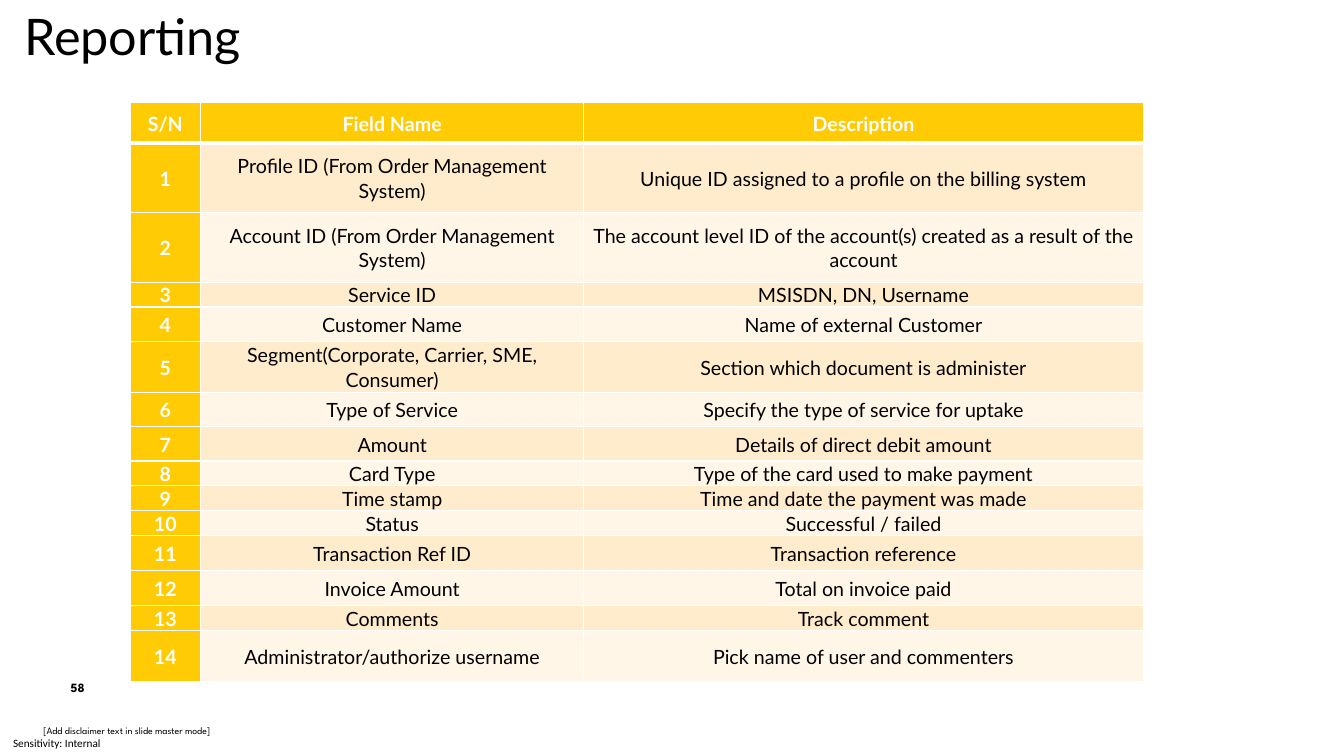
from lxml import etree
from pptx import Presentation, util as u
from pptx.dml.color import RGBColor
from pptx.enum import shapes, text
from pptx.oxml import ns

BLACK, WHITE, YELLOW = "000000", "FFFFFF", "FFCB05"
BANDS = ["FFECCC", "FFF6E7"]


def write(frame, words, size=14, font="Lato", color=BLACK, bold=False,
          align=text.PP_ALIGN.LEFT, spacing=None, wrap=True, margins=(0, 0, 0, 0)):
    """Fill a text frame with one formatted paragraph."""
    frame.word_wrap = wrap
    frame.vertical_anchor = text.MSO_ANCHOR.MIDDLE
    (frame.margin_left, frame.margin_top,
     frame.margin_right, frame.margin_bottom) = map(u.Inches, margins)
    paragraph = frame.paragraphs[0]
    paragraph.alignment = align
    paragraph.line_spacing = spacing
    run = paragraph.add_run()
    run.text = words
    run.font.size, run.font.name, run.font.bold = u.Pt(size), font, bold
    run.font.color.rgb = RGBColor.from_string(color)


def outline(cell, bottom):
    """Draw white borders of 1 pt, with the given width at the bottom."""
    properties = cell._tc.get_or_add_tcPr()
    for side, width in zip("LRTB", (1, 1, 1, bottom)):
        line = etree.SubElement(properties, ns.qn("a:ln" + side), w=str(u.Pt(width)))
        fill = etree.SubElement(line, ns.qn("a:solidFill"))
        etree.SubElement(fill, ns.qn("a:srgbClr"), val=WHITE)


presentation = Presentation()
presentation.slide_width, presentation.slide_height = u.Inches(13.33), u.Inches(7.5)
slide = presentation.slides.add_slide(presentation.slide_layouts[6])

# Page number
badge = slide.shapes.add_shape(shapes.MSO_SHAPE.OVAL,
                               *map(u.Inches, (0.43, 6.69, 0.68, 0.27)))
badge.shadow.inherit = False
badge.fill.solid()
badge.fill.fore_color.rgb = RGBColor.from_string(WHITE)
badge.line.fill.background()
write(badge.text_frame, "58", size=9, font="League Spartan", bold=True,
      align=text.PP_ALIGN.CENTER)

# Title and footers
labels = [
    ("Reporting", (0.14, 0, 2.72, 0.71),
     dict(size=36, wrap=False, margins=(0.1, 0.05, 0.1, 0.05))),
    ("[Add disclaimer text in slide master mode]", (0.43, 7.08, 7.42, 0.34),
     dict(size=7, font="League Spartan")),
    ("Sensitivity: Internal", (0, 7.25, 1.14, 0.25),
     dict(size=8, font="Calibri", margins=(0.13, 0, 0, 0))),
]
for words, place, style in labels:
    box = slide.shapes.add_textbox(*map(u.Inches, place))
    write(box.text_frame, words, **style)

# Table content: row height, field name, description
fields = [
    (0.4, "Field Name", "Description"),
    (0.69, "Profile ID (From Order Management System)",
     "Unique ID assigned to a profile on the billing system"),
    (0.69, "Account ID (From Order Management System)",
     "The account level ID of the account(s) created as a result of the account"),
    (0.22, "Service ID", "MSISDN, DN, Username"),
    (0.34, "Customer Name", "Name of external Customer"),
    (0.51, "Segment(Corporate, Carrier, SME, Consumer)",
     "Section which document is administer"),
    (0.34, "Type of Service", "Specify the type of service for uptake"),
    (0.34, "Amount", "Details of direct debit amount"),
    (0.22, "Card Type", "Type of the card used to make payment"),
    (0.22, "Time stamp", "Time and date the payment was made"),
    (0.22, "Status", "Successful / failed"),
    (0.35, "Transaction Ref ID", "Transaction reference"),
    (0.35, "Invoice Amount", "Total on invoice paid"),
    (0.22, "Comments", "Track comment"),
    (0.51, "Administrator/authorize username", "Pick name of user and commenters"),
]
widths = [0.7, 3.8, 5.55]
heights = [field[0] for field in fields]

# Table
table = slide.shapes.add_table(
    len(fields), len(widths),
    *map(u.Inches, (1.29, 1.02, sum(widths), sum(heights)))).table
for column, width in zip(table.columns, widths):
    column.width = u.Inches(width)
for row, (height, name, description) in enumerate(fields):
    table.rows[row].height = u.Inches(height)
    number = str(row) if row else "S/N"
    for column, words in enumerate((number, name, description)):
        cell = table.cell(row, column)
        heading = row == 0 or column == 0
        outline(cell, bottom=1 if row else 3)
        cell.fill.solid()
        cell.fill.fore_color.rgb = RGBColor.from_string(
            YELLOW if heading else BANDS[(row - 1) % 2])
        cell.vertical_anchor = text.MSO_ANCHOR.MIDDLE
        cell.margin_left = cell.margin_right = u.Inches(0.06)
        cell.margin_top = cell.margin_bottom = 0
        write(cell.text_frame, words, color=WHITE if heading else BLACK, bold=heading,
              align=text.PP_ALIGN.CENTER, spacing=1.05)

# The cells carry their own anchor and margins
for body in table._tbl.iter(ns.qn("a:bodyPr")):
    body.attrib.clear()

presentation.save("out.pptx")
